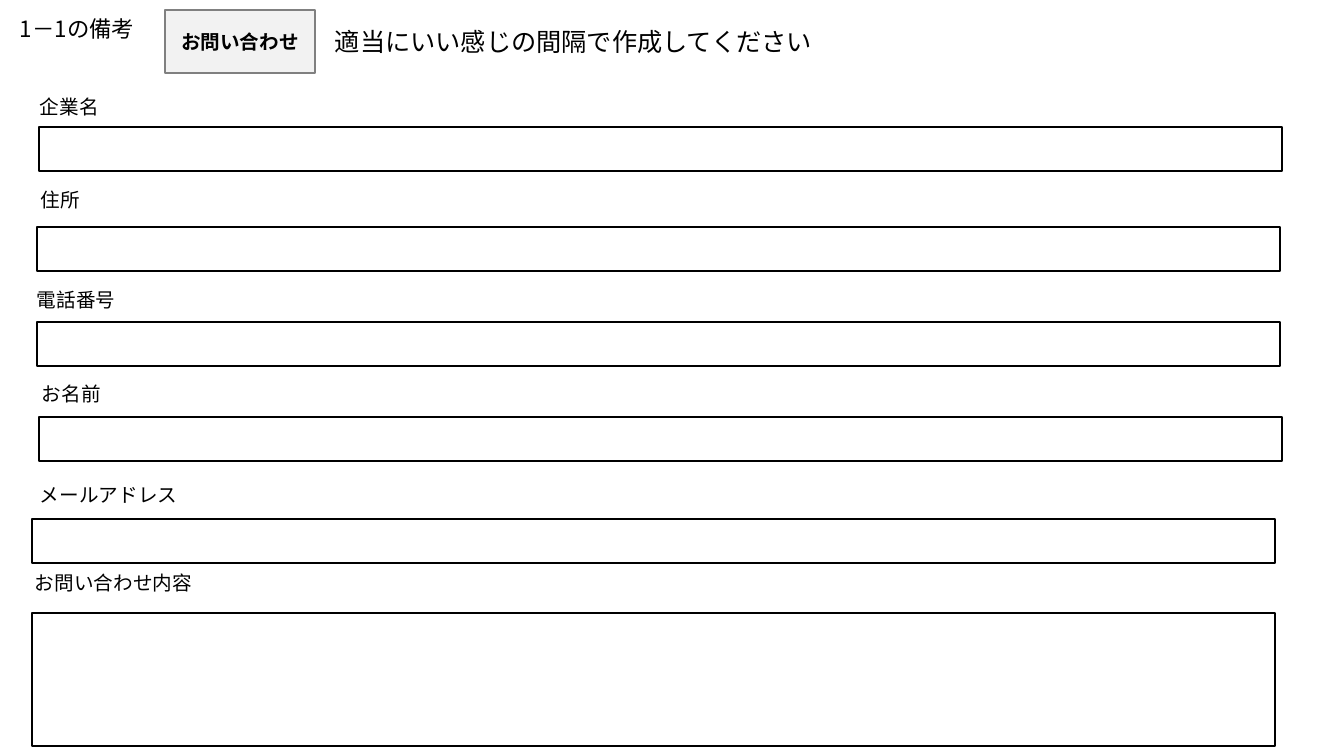
"""Build a contact form slide with labelled input boxes."""
from lxml.etree import SubElement
from pptx import Presentation
from pptx.dml.color import RGBColor as RGB
from pptx.enum.shapes import MSO_SHAPE as SHAPE
from pptx.enum.text import MSO_ANCHOR as ANCHOR, PP_ALIGN as ALIGN
from pptx.oxml.ns import qn
from pptx.util import Pt

PX = 914400 / 100.8
FONT = "Noto Sans CJK JP"
COLORS = {"ink": "000000", "button": "F2F2F2", "edge": "808080"}


class Form:
    def __init__(self, prs):
        self.slide = prs.slides.add_slide(prs.slide_layouts[6])

    def color(self, name):
        return RGB.from_string(COLORS[name])

    def set_text(self, sp, text, size, bold=False, align=ALIGN.LEFT):
        p = sp.text_frame.paragraphs[0]
        p.text, p.alignment = text, align
        p.font.size, p.font.bold, p.font.name = Pt(size), bold, FONT
        p.font.color.rgb = self.color("ink")
        SubElement(p._p.pPr.find(qn("a:defRPr")), qn("a:ea"), typeface=FONT)

    def label(self, box, text, size=14, wrap=False):
        sp = self.slide.shapes.add_textbox(*(round(v * PX) for v in box))
        sp.text_frame.word_wrap = wrap
        self.set_text(sp, text, size)

    def rect(self, box, fill=None, line="ink"):
        sp = self.slide.shapes.add_shape(SHAPE.RECTANGLE, *(round(v * PX) for v in box))
        sp.shadow.inherit = False
        if fill:
            sp.fill.solid()
            sp.fill.fore_color.rgb = self.color(fill)
        else:
            sp.fill.background()
        sp.line.color.rgb = self.color(line)
        sp.line.width = Pt(1)
        return sp

    def button(self, box, text):
        sp = self.rect(box, "button", "edge")
        sp.text_frame.vertical_anchor = ANCHOR.MIDDLE
        self.set_text(sp, text, 14, True, ALIGN.CENTER)

    def field(self, text, label_at, label_width, box_at, height=44):
        self.label((*label_at, label_width, 34), text)
        self.rect((*box_at, 1243, height))


prs = Presentation()
prs.slide_width, prs.slide_height = round(1344 * PX), round(756 * PX)
form = Form(prs)
form.label((10, 10, 136, 37), "1－1の備考", 16, wrap=True)
form.button((165, 10, 150, 63), "お問い合わせ")
form.field("企業名", (30, 90), 80, (39, 127))
form.field("住所", (31, 183), 60, (37, 227))
form.field("電話番号", (27, 283), 100, (37, 322))
form.field("お名前", (32, 377), 80, (39, 417))
form.field("メールアドレス", (30, 478), 159, (32, 519))
form.field("お問い合わせ内容", (25, 566), 178, (32, 613), 133)
form.label((325, 21, 504, 41), "適当にいい感じの間隔で作成してください", 18)
prs.save("out.pptx")
